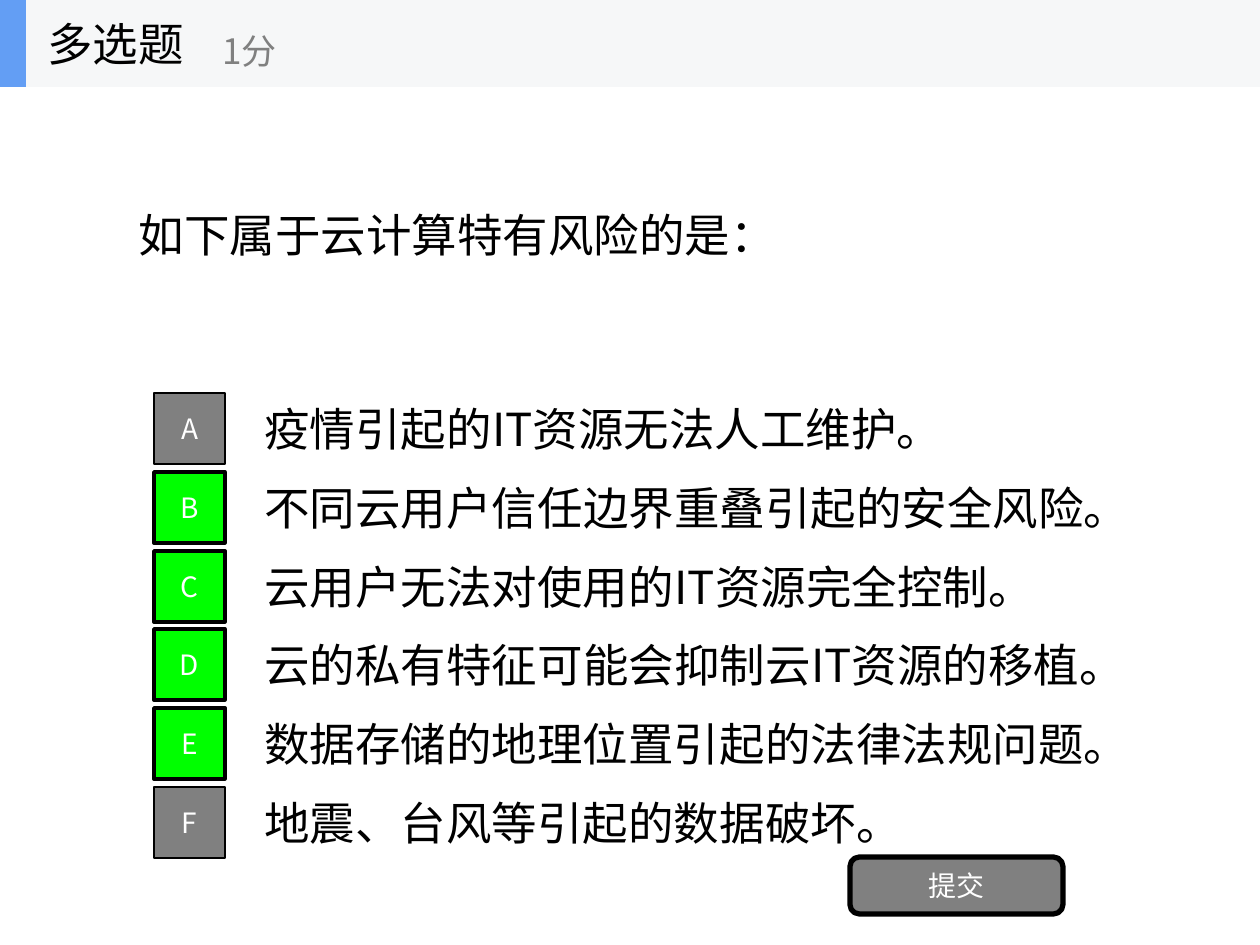
from pptx import Presentation
from pptx import util as u
from pptx.dml.color import RGBColor
from pptx.enum import shapes, text
from pptx.oxml.ns import qn

PX = 914400 / 126
FONT = "Noto Sans CJK SC"
BLACK = RGBColor(0x00, 0x00, 0x00)
WHITE = RGBColor(0xFF, 0xFF, 0xFF)
GREY = RGBColor(0x80, 0x80, 0x80)
GREEN = RGBColor(0x00, 0xFF, 0x00)
BAND = RGBColor(0xF6, 0xF7, 0xF8)
BLUE = RGBColor(0x63, 0x9E, 0xF4)

# letter, wording, width of the wording, is it a right answer
OPTIONS = [
    ("A", "疫情引起的IT资源无法人工维护。", 882, False),
    ("B", "不同云用户信任边界重叠引起的安全风险。", 914, True),
    ("C", "云用户无法对使用的IT资源完全控制。", 882, True),
    ("D", "云的私有特征可能会抑制云IT资源的移植。", 903, True),
    ("E", "数据存储的地理位置引起的法律法规问题。", 893, True),
    ("F", "地震、台风等引起的数据破坏。", 882, False),
]
FIRST_TOP = 384
OPTION_HEIGHT = 88
OPTION_PITCH = 78.75
BOX_SIZE = 71
BOX_INSET = 9


def px(*lengths):
    return [u.Emu(round(length * PX)) for length in lengths]


def write(shape, wording, size=26, color=BLACK, align=text.PP_ALIGN.LEFT):
    frame = shape.text_frame
    frame.word_wrap = True
    frame.auto_size = text.MSO_AUTO_SIZE.NONE
    frame.vertical_anchor = text.MSO_ANCHOR.MIDDLE
    paragraph = frame.paragraphs[0]
    paragraph.alignment = align
    run = paragraph.add_run()
    run.text = wording
    run.font.size = u.Pt(size)
    run.font.name = FONT
    run.font.color.rgb = color
    east_asian = run.font._element.makeelement(qn("a:ea"), {"typeface": FONT})
    run.font._element.find(qn("a:latin")).addnext(east_asian)


class QuizSlide:
    def __init__(self, presentation):
        self.slide = presentation.slides.add_slide(presentation.slide_layouts[5])

    def title(self, wording, *box):
        shape = self.slide.shapes.title
        shape.left, shape.top, shape.width, shape.height = px(*box)
        write(shape, wording)

    def label(self, wording, *box, **style):
        write(self.slide.shapes.add_textbox(*px(*box)), wording, **style)

    def block(self, *box, fill, line=0, wording="",
              kind=shapes.MSO_SHAPE.RECTANGLE):
        shape = self.slide.shapes.add_shape(kind, *px(*box))
        shape.shadow.inherit = False
        shape.fill.solid()
        shape.fill.fore_color.rgb = fill
        if line:
            shape.line.color.rgb = BLACK
            shape.line.width = u.Pt(line)
        else:
            shape.line.fill.background()
        if wording:
            write(shape, wording, size=16, color=WHITE,
                  align=text.PP_ALIGN.CENTER)


def main():
    presentation = Presentation()
    presentation.slide_width, presentation.slide_height = px(1260, 945)
    quiz = QuizSlide(presentation)

    # Question
    quiz.title("如下属于云计算特有风险的是：", 126, 87, 1008, 295)

    # Answer options
    for index, (letter, wording, width, correct) in enumerate(OPTIONS):
        top = round(FIRST_TOP + index * OPTION_PITCH)
        quiz.label(wording, 252, top, width, OPTION_HEIGHT)
        quiz.block(154, top + BOX_INSET, BOX_SIZE, BOX_SIZE, wording=letter,
                   fill=GREEN if correct else GREY, line=2 if correct else 1)

    # Submit button
    quiz.block(850, 857, 213, 57, fill=GREY, line=3, wording="提交",
               kind=shapes.MSO_SHAPE.ROUNDED_RECTANGLE)

    # Header band with question type and score
    quiz.block(0, 0, 1260, 87, fill=BAND)
    quiz.block(0, 0, 26, 87, fill=BLUE)
    quiz.label("多选题", 35, 0, 262, 87)
    quiz.label("1分", 210, 15, 315, 71, size=20, color=GREY)

    presentation.save("out.pptx")


if __name__ == "__main__":
    main()
